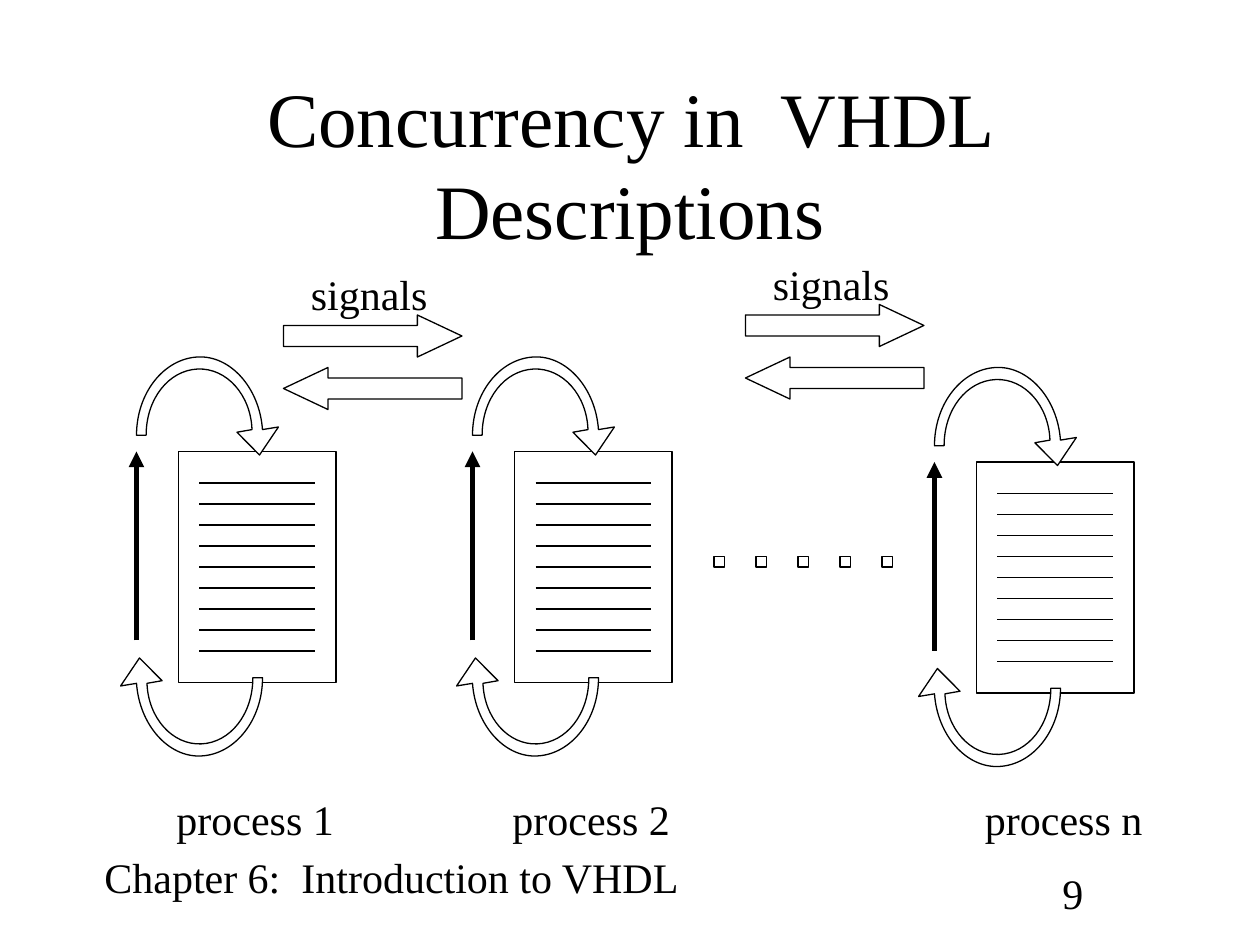
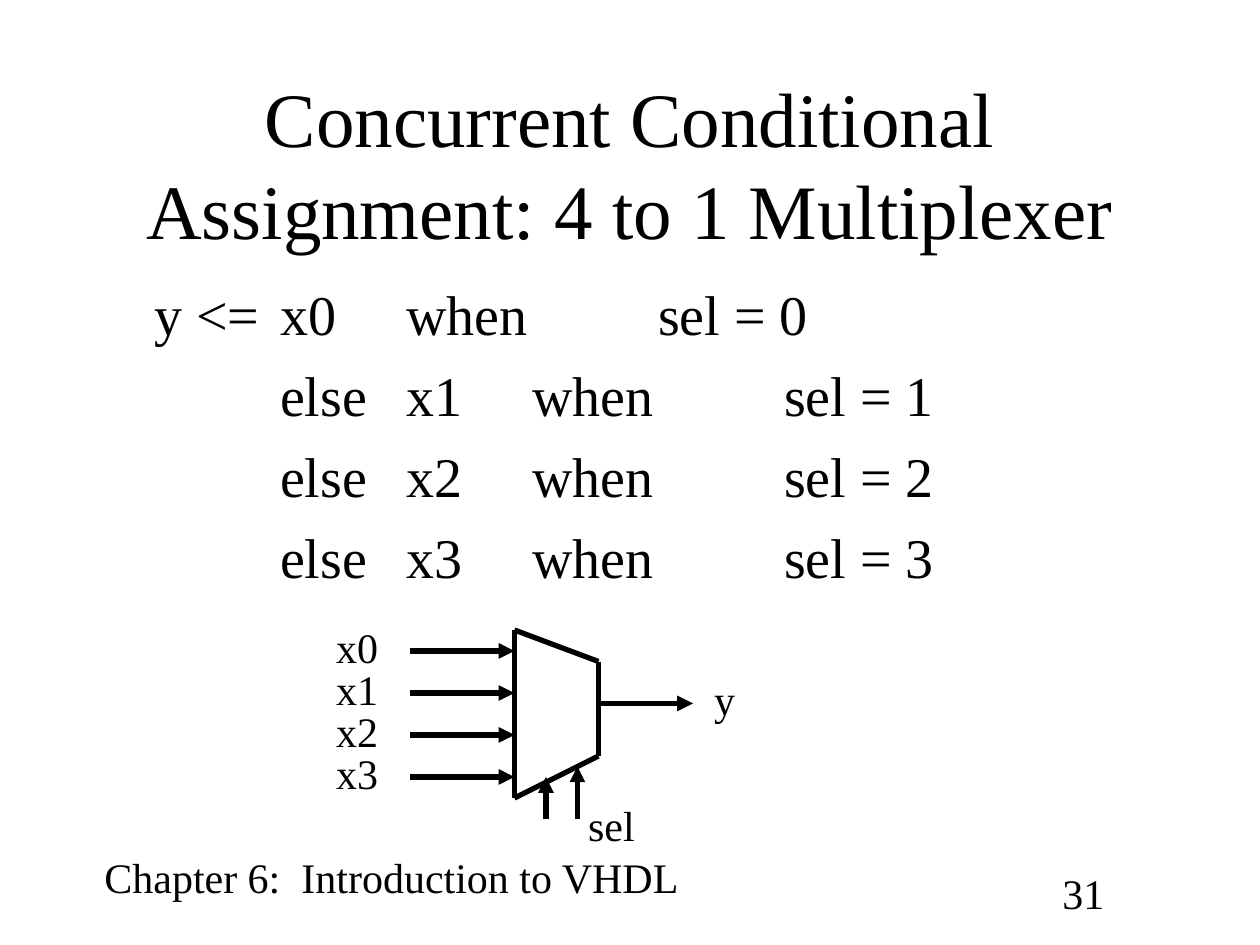
from lxml import etree
from pptx import Presentation
from pptx.dml.color import RGBColor
from pptx.enum.shapes import MSO_CONNECTOR, MSO_SHAPE
from pptx.enum.text import MSO_ANCHOR, PP_ALIGN
from pptx.oxml.ns import qn
from pptx.util import Pt

RECT, RIGHT_ARROW, LEFT_ARROW = MSO_SHAPE.RECTANGLE, MSO_SHAPE.RIGHT_ARROW, MSO_SHAPE.LEFT_ARROW
STRAIGHT = MSO_CONNECTOR.STRAIGHT
LEFT, CENTER = PP_ALIGN.LEFT, PP_ALIGN.CENTER
TOP, MIDDLE = MSO_ANCHOR.TOP, MSO_ANCHOR.MIDDLE

COLORS = {"ink": "000000", "paper": "FFFFFF"}
FONT = "Times New Roman"
THIN, THICK = 0.75, 3
TAB_STEP = Pt(72)
FOOTER = "Chapter 6:  Introduction to VHDL"

CONCURRENCY_TITLE, CONCURRENCY_NUMBER = "Concurrency in  VHDL Descriptions", "9"
PROCESSES = [
    ("process 1", 102, 258, 93.6),
    ("process 2", 294, 258, 285.6),
    ("process n", 558, 264, 555.6),
]
SIGNALS = [("signals", 162, 180), ("signals", 426, 174)]
STATEMENT_ROWS = 9
ELLIPSIS_DOTS = 5
LOOP_ARROW = [
    ("M", (66, 41.5)),
    ("C", (65.3, 21.8), (51.6, 6.2), (35, 6.9)),
    ("C", (18.5, 7.6), (5.5, 23.8), (5.5, 44.7)),
    ("L", (0, 44.7)),
    ("C", (0, 20.6), (15.6, 1), (35, 0)),
    ("C", (53.8, -1), (70.3, 17.8), (72, 41.5)),
    ("L", (81.1, 40)),
    ("L", (70.3, 56)),
    ("L", (57.4, 43)),
]

MUX_TITLE, MUX_NUMBER = "Concurrent Conditional Assignment: 4 to 1 Multiplexer", "31"
ASSIGNMENT = [
    "\ty <=\tx0\twhen\t\tsel = 0",
    "\t\telse\tx1\twhen\t\tsel = 1",
    "\t\telse\tx2\twhen\t\tsel = 2",
    "\t\telse\tx3\twhen\t\tsel = 3",
]
MUX_INPUTS = ["x0", "x1", "x2", "x3"]
MUX_CORNERS = [(294, 360), (342, 378), (342, 432), (294, 456)]
SELECT_ARROWS = [(312, 444), (330, 438)]


def rgb(name):
    return RGBColor.from_string(COLORS[name])


def add_run(paragraph, text, size):
    run = paragraph.add_run()
    run.text = text
    run.font.size = Pt(size)
    run.font.name = FONT
    run.font.color.rgb = rgb("ink")


def add_text(slide, text, left, top, width, height=36, size=24, align=LEFT,
             anchor=TOP, wrap=False):
    frame = slide.shapes.add_textbox(Pt(left), Pt(top), Pt(width), Pt(height)).text_frame
    frame.word_wrap = wrap
    frame.vertical_anchor = anchor
    frame.paragraphs[0].alignment = align
    add_run(frame.paragraphs[0], text, size)


def outline(shape):
    shape.shadow.inherit = False
    shape.fill.solid()
    shape.fill.fore_color.rgb = rgb("paper")
    shape.line.color.rgb = rgb("ink")
    shape.line.width = Pt(THIN)


def add_box(slide, kind, left, top, width, height):
    box = slide.shapes.add_shape(kind, Pt(left), Pt(top), Pt(width), Pt(height))
    outline(box)
    return box


def add_line(slide, start, end, weight=THICK, arrow=False):
    line = slide.shapes.add_connector(STRAIGHT, *(Pt(v) for v in (*start, *end)))
    line.line.color.rgb = rgb("ink")
    line.line.width = Pt(weight)
    if arrow:
        etree.SubElement(line.line._get_or_add_ln(), qn("a:tailEnd"), type="triangle")
    etree.SubElement(line._element.spPr, qn("a:effectLst"))


def add_curved(slide, segments, place):
    points = [tuple(Pt(v) for v in place(*p)) for _, *group in segments for p in group]
    builder = slide.shapes.build_freeform(*points[0], scale=1.0)
    builder.add_line_segments(points[1:], close=True)
    shape = builder.convert_to_shape()
    outline(shape)
    steps = iter(list(shape._element.iter(qn("a:path")))[0][:-1])
    for kind, *group in segments:
        members = [next(steps) for _ in group]
        if kind == "C":
            curve = etree.Element(qn("a:cubicBezTo"))
            members[0].addprevious(curve)
            for member in members:
                curve.append(member[0])
                member.getparent().remove(member)


def add_slide(deck, title, number):
    slide = deck.slides.add_slide(deck.slide_layouts[6])
    add_text(slide, FOOTER, 52.6, 483.3, 348.5)
    add_text(slide, number, 600, 492, 66, wrap=True)
    add_text(slide, title, 54, 48, 612, 90, 44, CENTER, MIDDLE, True)
    return slide


def add_process(slide, label, left, top, label_left):
    add_box(slide, RECT, left, top, 90, 132)
    for row in range(STATEMENT_ROWS):
        y = top + 18 + 12 * row
        add_line(slide, (left + 12, y), (left + 78, y), THIN)
    loop_left, loop_top = left - 24, top - 54
    add_curved(slide, LOOP_ARROW, lambda x, y: (loop_left + x, loop_top + y))
    add_curved(slide, LOOP_ARROW, lambda x, y: (loop_left + 72 - x, loop_top + 228 - y))
    add_line(slide, (loop_left, top + 108), (loop_left, top), arrow=True)
    add_text(slide, label, label_left, 450, 104.4, align=CENTER, anchor=MIDDLE)


def add_signals(slide, label, left, top):
    for kind, drop in ((RIGHT_ARROW, 0), (LEFT_ARROW, 30)):
        arrow = add_box(slide, kind, left, top + drop, 102, 24)
        arrow.adjustments[0] = 0.5
        arrow.adjustments[1] = 1.06
    add_text(slide, label, left + 6, top - 30, 86, align=CENTER, anchor=MIDDLE)


def add_assignment(slide):
    frame = slide.shapes.add_textbox(Pt(54), Pt(156), Pt(612), Pt(324)).text_frame
    frame.word_wrap = True
    for index, code in enumerate(ASSIGNMENT):
        paragraph = frame.add_paragraph() if index else frame.paragraphs[0]
        properties = paragraph._p.get_or_add_pPr()
        properties.set("marL", str(Pt(27)))
        properties.set("indent", str(-Pt(27)))
        properties.set("defTabSz", str(TAB_STEP))
        tabs = etree.SubElement(properties, qn("a:tabLst"))
        for stop in range(1, 8):
            etree.SubElement(tabs, qn("a:tab"), pos=str(TAB_STEP * stop), algn="l")
        if index:
            paragraph.space_before = Pt(8)
        add_run(paragraph, code, 32)


def add_multiplexer(slide):
    for start, end in zip(MUX_CORNERS, MUX_CORNERS[1:] + MUX_CORNERS[:1]):
        add_line(slide, start, end)
    for index, name in enumerate(MUX_INPUTS):
        y = 372 + 24 * index
        add_line(slide, (234, y), (294, y), arrow=True)
        add_text(slide, name, 185, y - 20.6, 38.2)
    for x, tip in SELECT_ARROWS:
        add_line(slide, (x, 468), (x, tip), arrow=True)
    add_text(slide, "sel", 329, 453.6, 41)
    add_line(slide, (342, 402), (396, 402), arrow=True)
    add_text(slide, "y", 401, 381.6, 26)


def main():
    deck = Presentation()
    deck.slide_width, deck.slide_height = Pt(720), Pt(540)
    for level in deck.element.find(qn("p:defaultTextStyle")):
        level.set("defTabSz", str(TAB_STEP))

    concurrency = add_slide(deck, CONCURRENCY_TITLE, CONCURRENCY_NUMBER)
    for process in PROCESSES:
        add_process(concurrency, *process)
    for signal in SIGNALS:
        add_signals(concurrency, *signal)
    for dot in range(ELLIPSIS_DOTS):
        add_box(concurrency, RECT, 408 + 24 * dot, 318, 6, 6)

    multiplexer = add_slide(deck, MUX_TITLE, MUX_NUMBER)
    add_assignment(multiplexer)
    add_multiplexer(multiplexer)

    deck.save("out.pptx")


if __name__ == "__main__":
    main()
